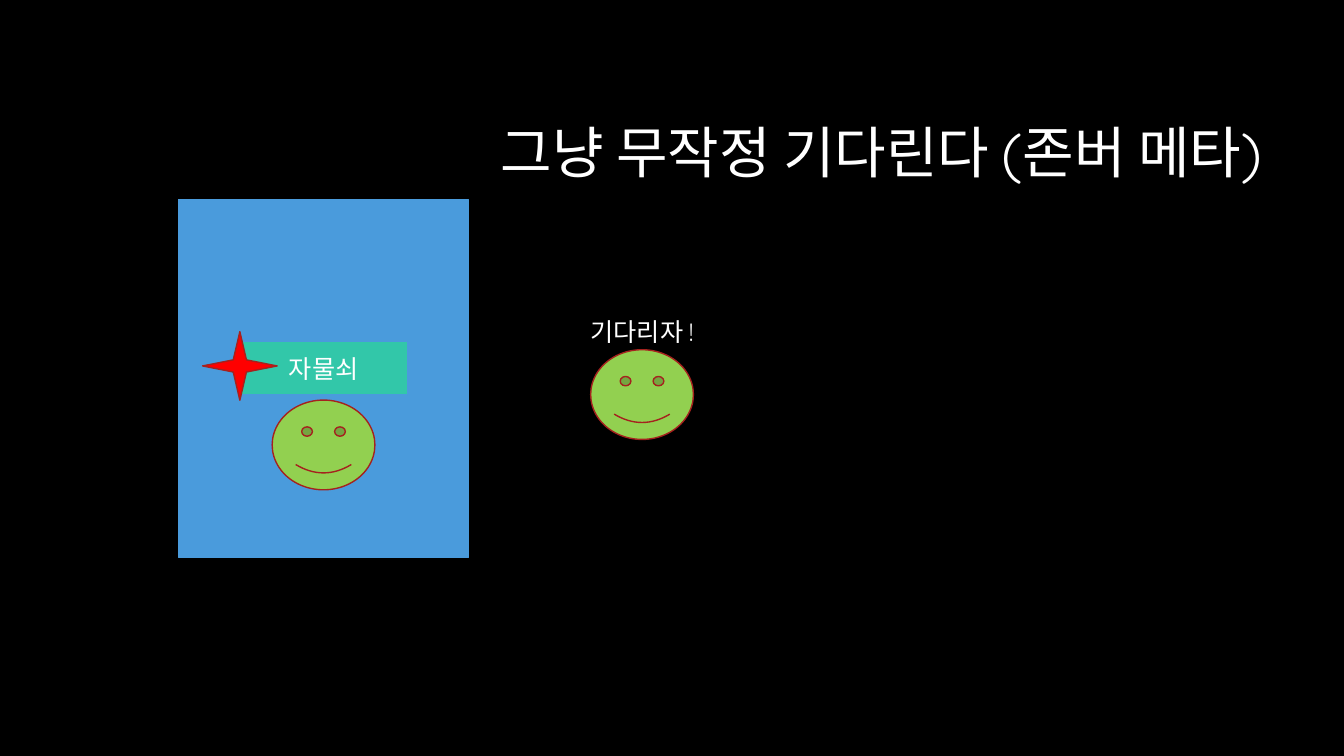
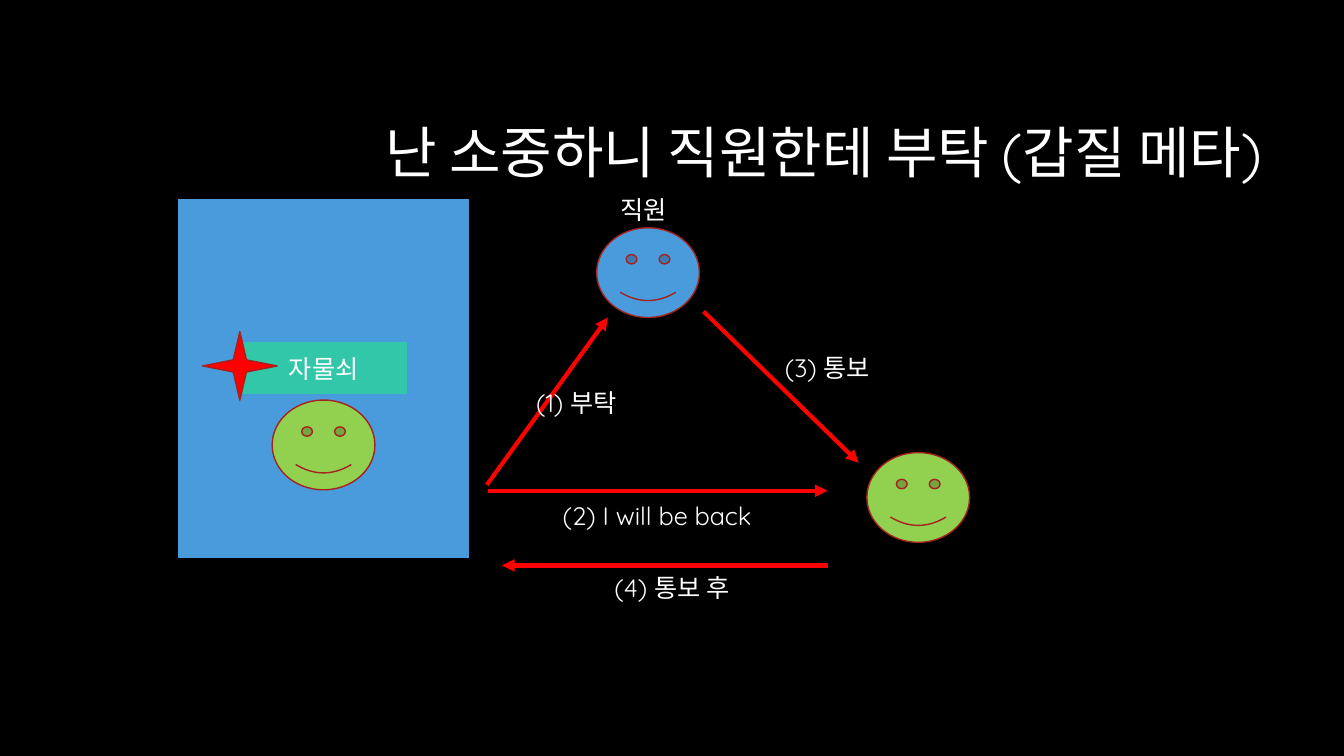
from dataclasses import dataclass

from lxml.etree import SubElement
from pptx import Presentation
from pptx.dml.color import RGBColor
from pptx.enum.shapes import MSO_CONNECTOR, MSO_SHAPE
from pptx.enum.text import MSO_ANCHOR, MSO_AUTO_SIZE, PP_ALIGN
from pptx.oxml.ns import qn
from pptx.presentation import Presentation as Deck
from pptx.shapes.autoshape import Shape
from pptx.slide import Slide
from pptx.text.text import TextFrame
from pptx.util import Pt

FONT = "Quicksand"
BLACK = "000000"
WHITE = "FFFFFF"
BLUE = "4A9BDC"
TEAL = "32C7A9"
GREEN = "92D050"
RED = "FF0000"
DARK_RED = "A5221E"
LABEL_SIZE = 18
LABEL_HEIGHT = 28.8
TITLE_SIZE = 40
FACE_WIDTH = 73.4
FACE_HEIGHT = 64.1


@dataclass(frozen=True)
class Block:
    kind: MSO_SHAPE
    left: float
    top: float
    width: float
    height: float
    fill: str
    outline: str
    text: str = ""


@dataclass(frozen=True)
class Face:
    left: float
    top: float
    fill: str = GREEN


@dataclass(frozen=True)
class Label:
    text: str
    left: float
    top: float
    width: float


@dataclass(frozen=True)
class Arrow:
    start: tuple[float, float]
    end: tuple[float, float]


@dataclass(frozen=True)
class Scene:
    title: str
    faces: tuple[Face, ...]
    arrows: tuple[Arrow, ...]
    labels: tuple[Label, ...]


ROOM = (
    Block(MSO_SHAPE.RECTANGLE, 127.4, 142.6, 207.4, 255.6, BLUE, BLUE),
    Block(MSO_SHAPE.RECTANGLE, 171.4, 244.1, 119.5, 38.2, TEAL, BLUE, "자물쇠"),
    Block(MSO_SHAPE.STAR_4_POINT, 144.7, 236.9, 53.3, 49, RED, DARK_RED),
)
OCCUPANT = Face(194.4, 285.8)

SCENES = (
    Scene(
        "그냥 무작정 기다린다 (존버 메타)",
        faces=(Face(421.9, 249.8),),
        arrows=(),
        labels=(Label("기다리자 !", 409.7, 222.5, 97.9),),
    ),
    Scene(
        "난 소중하니 직원한테 부탁 (갑질 메타)",
        faces=(Face(619.2, 323.3), Face(426.2, 162.7, BLUE)),
        arrows=(
            Arrow((347.8, 346.3), (434.2, 226.8)),
            Arrow((348.5, 350.6), (591.1, 350.6)),
            Arrow((502.6, 222.5), (613.4, 330.5)),
            Arrow((591.8, 403.9), (358.6, 403.9)),
        ),
        labels=(
            Label("직원", 434.2, 135.4, 51.1),
            Label("(1) 부탁", 372.2, 272.9, 79.2),
            Label("(2) I will be back", 390.2, 354.2, 158.4),
            Label("(3) 통보", 551.5, 248.4, 79.2),
            Label("(4) 통보 후", 428.4, 405.4, 103),
        ),
    ),
)


def color(value: str) -> RGBColor:
    return RGBColor.from_string(value)


def write(frame: TextFrame, text: str, size: float, align: PP_ALIGN) -> None:
    frame.text = text
    para = frame.paragraphs[0]
    para.alignment = align
    for span in para.runs:
        span.font.name = FONT
        span.font.size = Pt(size)
        span.font.color.rgb = color(WHITE)


def draw_block(page: Slide, block: Block) -> Shape:
    shape = page.shapes.add_shape(
        block.kind, Pt(block.left), Pt(block.top), Pt(block.width), Pt(block.height)
    )
    shape.shadow.inherit = False
    shape.fill.solid()
    shape.fill.fore_color.rgb = color(block.fill)
    shape.line.color.rgb = color(block.outline)
    shape.line.width = Pt(1)
    if block.text:
        shape.text_frame.vertical_anchor = MSO_ANCHOR.MIDDLE
        write(shape.text_frame, block.text, LABEL_SIZE, PP_ALIGN.CENTER)
    return shape


def draw_face(page: Slide, face: Face) -> None:
    draw_block(
        page,
        Block(MSO_SHAPE.SMILEY_FACE, face.left, face.top,
              FACE_WIDTH, FACE_HEIGHT, face.fill, DARK_RED),
    )


def draw_arrow(page: Slide, arrow: Arrow) -> None:
    start_x, start_y = arrow.start
    end_x, end_y = arrow.end
    connector = page.shapes.add_connector(
        MSO_CONNECTOR.STRAIGHT, Pt(start_x), Pt(start_y), Pt(end_x), Pt(end_y)
    )
    connector.line.color.rgb = color(RED)
    connector.line.width = Pt(3)
    properties = connector.element.spPr
    SubElement(properties.find(qn("a:ln")), qn("a:tailEnd"), type="triangle")
    SubElement(properties, qn("a:effectLst"))


def draw_label(page: Slide, label: Label) -> None:
    box = page.shapes.add_textbox(
        Pt(label.left), Pt(label.top), Pt(label.width), Pt(LABEL_HEIGHT)
    )
    frame = box.text_frame
    frame.word_wrap = False
    frame.auto_size = MSO_AUTO_SIZE.SHAPE_TO_FIT_TEXT
    write(frame, label.text, LABEL_SIZE, PP_ALIGN.CENTER)


def draw_title(page: Slide, text: str) -> None:
    title = page.shapes.title
    title.left, title.top = Pt(127.4), Pt(60.5)
    title.width, title.height = Pt(781.2), Pt(101.5)
    frame = title.text_frame
    frame.auto_size = MSO_AUTO_SIZE.NONE
    frame.vertical_anchor = MSO_ANCHOR.MIDDLE
    write(frame, text, TITLE_SIZE, PP_ALIGN.RIGHT)
    frame.paragraphs[0].line_spacing = 0.9


def draw_scene(deck: Deck, scene: Scene) -> None:
    page = deck.slides.add_slide(deck.slide_layouts.get_by_name("Title Only"))
    draw_title(page, scene.title)
    for block in ROOM:
        draw_block(page, block)
    for face in (OCCUPANT, *scene.faces):
        draw_face(page, face)
    for arrow in scene.arrows:
        draw_arrow(page, arrow)
    for label in scene.labels:
        draw_label(page, label)


def main() -> None:
    deck = Presentation()
    deck.slide_width, deck.slide_height = Pt(960), Pt(540)
    background = deck.slide_master.background.fill
    background.solid()
    background.fore_color.rgb = color(BLACK)
    for scene in SCENES:
        draw_scene(deck, scene)
    deck.save("out.pptx")


main()
